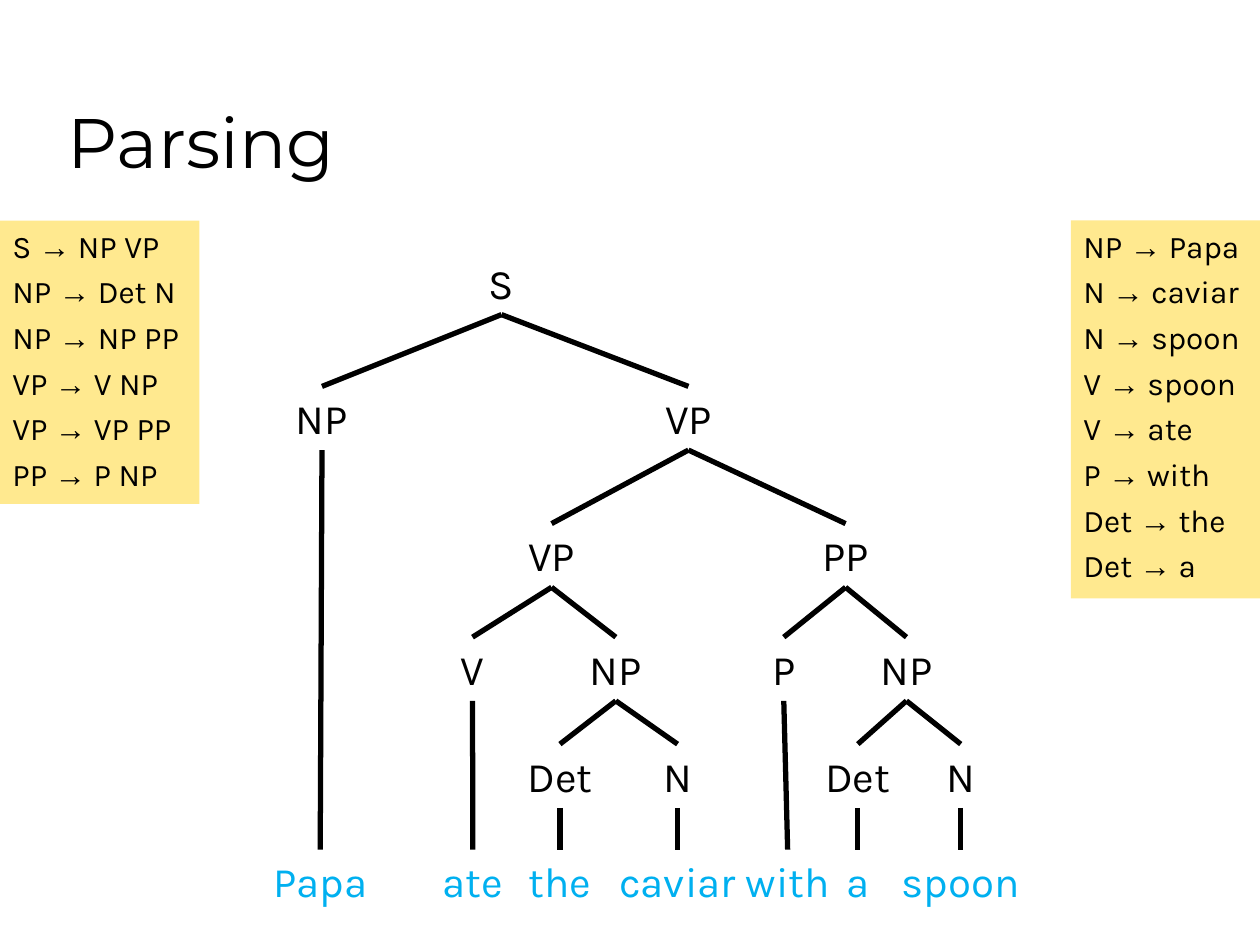
from pptx import Presentation
from pptx.dml.color import RGBColor
from pptx.enum import shapes, text
from pptx.oxml import xmlchemy
from pptx.util import Pt

BLACK = RGBColor(0, 0, 0)
BLUE = RGBColor(0x00, 0xB0, 0xF0)
YELLOW = RGBColor(0xFF, 0xE9, 0x8F)

# Tops of the tree levels; the words share the last one
LEVELS = [143.4, 220.8, 299.2, 364.1, 425.2]
WORD_TOP = 485.5
NODE_HEIGHT = 36.4
BOTTOM, TOP = 2, 0

# Box widths, with a little room to spare so that no label breaks
WIDTHS = {"S": 30, "NP": 50, "VP": 46, "PP": 46, "V": 32, "P": 32,
          "Det": 58, "N": 36, "Papa": 74, "ate": 54, "the": 55,
          "caviar": 88, "with": 67, "a": 31, "spoon": 88}

# Each node: label, centre x, children; a node without children is a word
TREE = ("S", 286.6, [
    ("NP", 184, [("Papa", 183, [])]),
    ("VP", 393.4, [
        ("VP", 315.2, [
            ("V", 270, [("ate", 270.2, [])]),
            ("NP", 351.9, [
                ("Det", 320, [("the", 320, [])]),
                ("N", 387.2, [("caviar", 387.2, [])])])]),
        ("PP", 483.2, [
            ("P", 447.9, [("with", 450.1, [])]),
            ("NP", 518, [
                ("Det", 490.2, [("a", 490.2, [])]),
                ("N", 549, [("spoon", 549, [])])])])])])

GRAMMAR = [("S", "NP VP"), ("NP", "Det N"), ("NP", "NP PP"),
           ("VP", "V NP"), ("VP", "VP PP"), ("PP", "P NP")]
LEXICON = [("NP", "Papa"), ("N", "caviar"), ("N", "spoon"), ("V", "spoon"),
           ("V", "ate"), ("P", "with"), ("Det", "the"), ("Det", "a")]


def style(font, name, size, color):
    font.name, font.size, font.color.rgb = name, Pt(size), color


def add_title(s, title):
    sp = s.shapes.add_textbox(Pt(31.7), Pt(18), Pt(612), Pt(90))
    tf = sp.text_frame
    tf.word_wrap = True
    tf.vertical_anchor = text.MSO_ANCHOR.BOTTOM
    p = tf.paragraphs[0]
    p.text = title
    style(p.font, "Montserrat", 40, BLACK)


def add_rules(s, left, width, height, rules):
    sp = s.shapes.add_shape(shapes.MSO_SHAPE.RECTANGLE,
                            Pt(left), Pt(126), Pt(width), Pt(height))
    sp.shadow.inherit = False
    sp.fill.solid()
    sp.fill.fore_color.rgb = YELLOW
    sp.line.fill.background()
    tf = sp.text_frame
    tf.word_wrap = True
    tf.vertical_anchor = text.MSO_ANCHOR.TOP
    for i, (symbol, expansion) in enumerate(rules):
        p = tf.add_paragraph() if i else tf.paragraphs[0]
        p.alignment = text.PP_ALIGN.LEFT
        if i:
            p.space_before = Pt(4.5)
        pPr = p._p.get_or_add_pPr()
        pPr.set("marL", str(Pt(27)))
        pPr.set("indent", str(Pt(-27)))
        for part, name in ((symbol + " ", "Karla"), ("→", "Arial"),
                           (" " + expansion, "Karla")):
            r = p.add_run()
            r.text = part
            style(r.font, name, 18, BLACK)


def add_node(s, label, center, top, color):
    width = WIDTHS[label]
    sp = s.shapes.add_textbox(Pt(center - width / 2), Pt(top),
                              Pt(width), Pt(NODE_HEIGHT))
    tf = sp.text_frame
    tf.word_wrap = False
    tf.auto_size = text.MSO_AUTO_SIZE.SHAPE_TO_FIT_TEXT
    p = tf.paragraphs[0]
    p.text = label
    p.alignment = text.PP_ALIGN.CENTER
    style(p.font, "Karla", 24, color)
    return sp


def add_branch(s, parent, child):
    line = s.shapes.add_connector(shapes.MSO_CONNECTOR.STRAIGHT, 0, 0, 0, 0)
    line.begin_connect(parent, BOTTOM)
    line.end_connect(child, TOP)
    line.line.color.rgb = BLACK
    line.line.width = Pt(3)
    line._element.spPr.append(xmlchemy.OxmlElement("a:effectLst"))


def add_tree(s, node, depth=0):
    label, center, children = node
    top, color = (LEVELS[depth], BLACK) if children else (WORD_TOP, BLUE)
    sp = add_node(s, label, center, top, color)
    for child in children:
        add_branch(s, sp, add_tree(s, child, depth + 1))
    return sp


def main():
    prs = Presentation()
    prs.slide_width, prs.slide_height = Pt(720), Pt(540)
    s = prs.slides.add_slide(prs.slide_layouts[6])

    add_title(s, "Parsing")

    # Grammar on the left, lexicon on the right
    add_rules(s, 0, 114, 162, GRAMMAR)
    add_rules(s, 612, 108, 216, LEXICON)

    # Parse tree down to the words of the sentence
    add_tree(s, TREE)

    prs.save("out.pptx")


if __name__ == "__main__":
    main()
